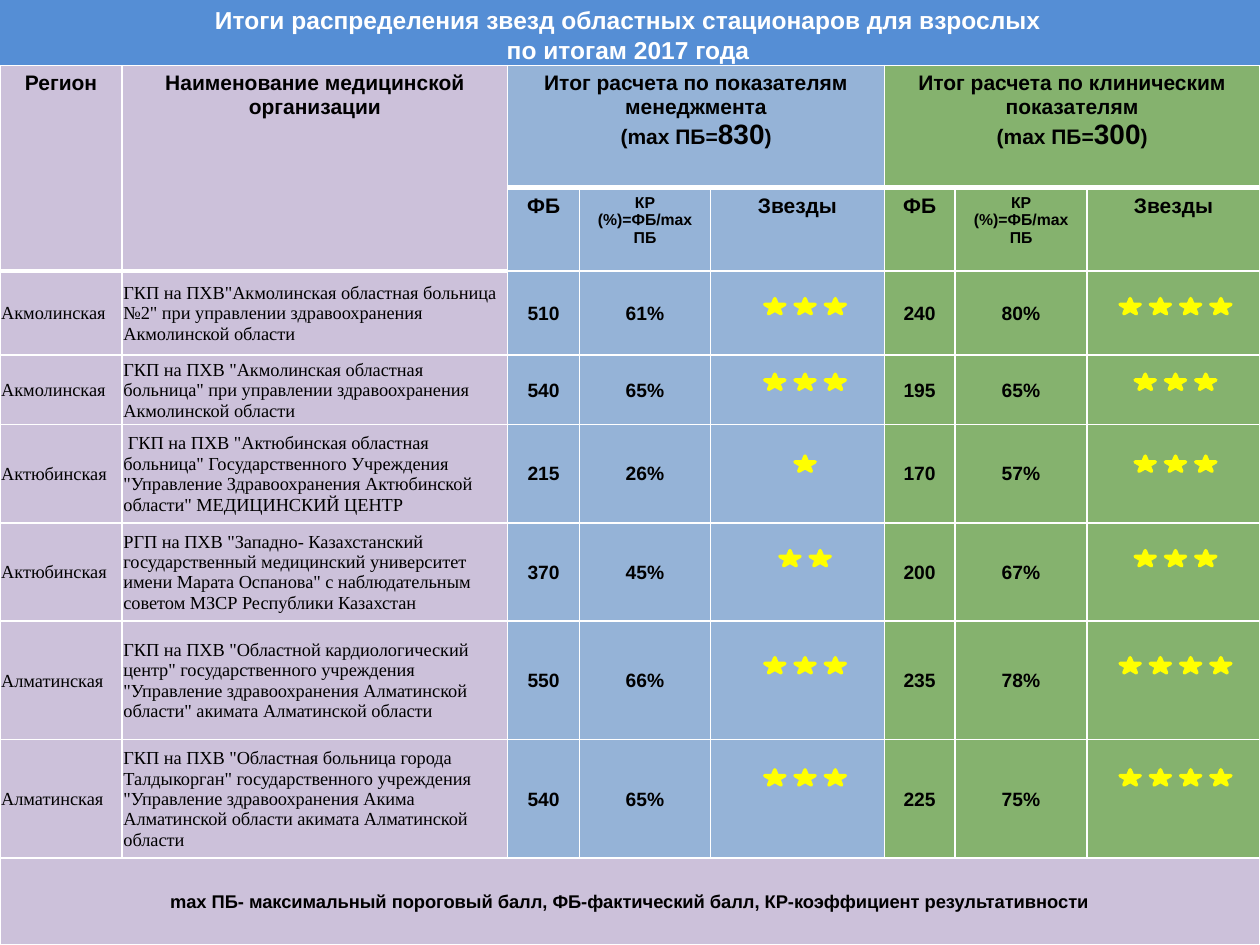
from dataclasses import dataclass

from lxml import etree
from pptx import Presentation
from pptx.dml.color import RGBColor
from pptx.enum.shapes import MSO_SHAPE
from pptx.enum.text import MSO_ANCHOR, PP_ALIGN
from pptx.oxml.ns import qn
from pptx.util import Inches, Pt

RECT, STAR = MSO_SHAPE.RECTANGLE, MSO_SHAPE.STAR_5_POINT
MIDDLE, TOP = MSO_ANCHOR.MIDDLE, MSO_ANCHOR.TOP
LEFT, CENTER = PP_ALIGN.LEFT, PP_ALIGN.CENTER


@dataclass(frozen=True)
class Theme:
    """Colours, fonts and type sizes of the slide."""
    band: str = "558ED5"
    lilac: str = "CCC1DA"
    blue: str = "95B3D7"
    green: str = "85B26E"
    star: str = "FFFF00"
    white: str = "FFFFFF"
    black: str = "000000"
    sans: str = "Arial"
    serif: str = "Times New Roman"
    title: float = 14
    head: float = 12
    score: float = 16
    small: float = 9
    body: float = 10.5
    value: float = 11


THEME = Theme()
COLS = [0.97, 3.06, 0.57, 1.04, 1.38, 0.56, 1.05, 1.37]
ROWS = [0.97, 0.66, 0.67, 0.55, 0.78, 0.78, 0.94, 0.94, 0.69]
FILLS = [THEME.lilac] * 2 + [THEME.blue] * 3 + [THEME.green] * 3
RISE = [0.22, 0.15, 0.25, 0.22, 0.29, 0.24]
STEP, STAR_W, STAR_H = 0.24, 0.16, 0.12
MIDS = {4: 6.39, 7: 9.33}
TITLE = "Итоги распределения звезд областных стационаров для взрослых\vпо итогам 2017 года"
GROUPS = [
    (2, "Итог расчета по показателям менеджмента", "830"),
    (5, "Итог расчета по клиническим показателям", "300"),
]
SUBS = [("ФБ", THEME.head), ("КР (%)=ФБ/max ПБ", THEME.small), ("Звезды", THEME.head)]
NOTE = "mах ПБ- максимальный пороговый балл, ФБ-фактический балл, КР-коэффициент результативности"
DATA = [
    ("Акмолинская",
     'ГКП на ПХВ"Акмолинская областная больница №2" при управлении здравоохранения '
     'Акмолинской области',
     "510", "61%", 3, "240", "80%", 4),
    ("Акмолинская",
     'ГКП на ПХВ "Акмолинская областная больница" при управлении здравоохранения '
     'Акмолинской области',
     "540", "65%", 3, "195", "65%", 3),
    ("Актюбинская",
     ' ГКП на ПХВ "Актюбинская областная больница" Государственного Учреждения '
     '"Управление Здравоохранения Актюбинской области" МЕДИЦИНСКИЙ ЦЕНТР',
     "215", "26%", 1, "170", "57%", 3),
    ("Актюбинская",
     'РГП на ПХВ "Западно- Казахстанский государственный медицинский университет '
     'имени Марата Оспанова" с наблюдательным советом МЗСР Республики Казахстан',
     "370", "45%", 2, "200", "67%", 3),
    ("Алматинская",
     'ГКП на ПХВ "Областной кардиологический центр" государственного учреждения '
     '"Управление здравоохранения Алматинской области" акимата Алматинской области',
     "550", "66%", 3, "235", "78%", 4),
    ("Алматинская",
     'ГКП на ПХВ "Областная больница города Талдыкорган" государственного учреждения '
     '"Управление здравоохранения Акима Алматинской области акимата Алматинской области',
     "540", "65%", 3, "225", "75%", 4),
]


def tint(hue):
    """Turn a hex string into a colour."""
    return RGBColor.from_string(hue)


def style(font, size, face=THEME.sans, bold=True, hue=THEME.black):
    """Set every trait of a font."""
    font.size, font.name, font.bold = Pt(size), face, bold
    font.color.rgb = tint(hue)


def write(cell, text, size, face=THEME.sans, bold=True, align=CENTER):
    """Write one paragraph into a cell."""
    para = cell.text_frame.paragraphs[0]
    para.text, para.alignment = text, align
    style(para.font, size, face, bold)


def tighten(cell):
    """Centre a cell's text vertically and shrink its margins."""
    cell.vertical_anchor = MIDDLE
    cell.margin_left = cell.margin_right = cell.margin_top = Inches(0.01)
    cell.margin_bottom = 0


def edge(cell, base=1):
    """Draw white borders around a cell."""
    props = cell._tc.get_or_add_tcPr()
    for spot, side in enumerate("LRTB"):
        width = Pt(base if side == "B" else 1)
        line = etree.Element(qn(f"a:ln{side}"), w=str(width))
        fill = etree.SubElement(line, qn("a:solidFill"))
        etree.SubElement(fill, qn("a:srgbClr"), val=THEME.white)
        props.insert(spot, line)


def add_title(slide, left, top, width, height):
    """Place the title band."""
    band = slide.shapes.add_shape(RECT, *map(Inches, (left, top, width, height)))
    band.shadow.inherit = False
    band.fill.solid()
    band.fill.fore_color.rgb = tint(THEME.band)
    band.line.fill.background()
    frame = band.text_frame
    frame.word_wrap, frame.vertical_anchor = True, MIDDLE
    para = frame.paragraphs[0]
    para.text, para.alignment = TITLE, CENTER
    style(para.font, THEME.title, hue=THEME.white)


def fill_head(grid):
    """Write the two header rows."""
    for col, text in enumerate(("Регион", "Наименование медицинской организации")):
        grid.cell(0, col).merge(grid.cell(1, col))
        write(grid.cell(0, col), text, THEME.head)
    for col, text, score in GROUPS:
        cell = grid.cell(0, col)
        cell.merge(grid.cell(0, col + 2))
        write(cell, text, THEME.head)
        para = cell.text_frame.add_paragraph()
        para.alignment = CENTER
        for part, size in (("(mах ПБ=", THEME.head), (score, THEME.score), (")", THEME.head)):
            run = para.add_run()
            run.text = part
            style(run.font, size)
        for step, (label, size) in enumerate(SUBS):
            write(grid.cell(1, col + step), label, size)


def fill_body(grid):
    """Write the hospital rows and the closing note."""
    for row, record in enumerate(DATA, 2):
        for col, value in enumerate(record):
            if col in MIDS:
                continue
            cell = grid.cell(row, col)
            tighten(cell)
            if col < 2:
                write(cell, value, THEME.body, THEME.serif, False, LEFT)
            else:
                write(cell, value, THEME.value)
    last = len(ROWS) - 1
    note = grid.cell(last, 0)
    note.merge(grid.cell(last, len(COLS) - 1))
    tighten(note)
    write(note, NOTE, THEME.body)


def add_grid(slide, left, top, width, height):
    """Place the table of results."""
    box = map(Inches, (left, top, width, height))
    grid = slide.shapes.add_table(len(ROWS), len(COLS), *box).table
    grid.first_row = grid.horz_banding = False
    for col, size in zip(grid.columns, COLS):
        col.width = Inches(size)
    for row, size in zip(grid.rows, ROWS):
        row.height = Inches(size)
    for row in range(len(ROWS)):
        for col, hue in enumerate(FILLS):
            cell = grid.cell(row, col)
            cell.vertical_anchor = TOP
            cell.fill.solid()
            cell.fill.fore_color.rgb = tint(THEME.lilac if row == len(ROWS) - 1 else hue)
            edge(cell, 3 if row == 0 else 1)
    fill_head(grid)
    fill_body(grid)


def add_stars(slide, mid, top, count):
    """Place a centred row of stars, grouped when there are several."""
    shapes = slide.shapes.add_group_shape().shapes if count > 1 else slide.shapes
    left = mid - (STEP * (count - 1) + STAR_W) / 2
    for place in range(count):
        box = (left + STEP * place, top, STAR_W, STAR_H)
        star = shapes.add_shape(STAR, *map(Inches, box))
        star.shadow.inherit = False
        star.fill.solid()
        star.fill.fore_color.rgb = star.line.color.rgb = tint(THEME.star)
        star.line.width = Pt(2)


def main():
    """Build and save the slide."""
    deck = Presentation()
    deck.slide_width, deck.slide_height = Inches(10), Inches(7.5)
    slide = deck.slides.add_slide(deck.slide_layouts[6])
    add_title(slide, -0.03, 0, 10.03, 0.55)
    top = 0.52
    add_grid(slide, 0, top, sum(COLS), sum(ROWS))
    for row, (record, rise) in enumerate(zip(DATA, RISE), 2):
        for col, mid in MIDS.items():
            add_stars(slide, mid, top + sum(ROWS[:row]) + rise, record[col])
    deck.save("out.pptx")


if __name__ == "__main__":
    main()
